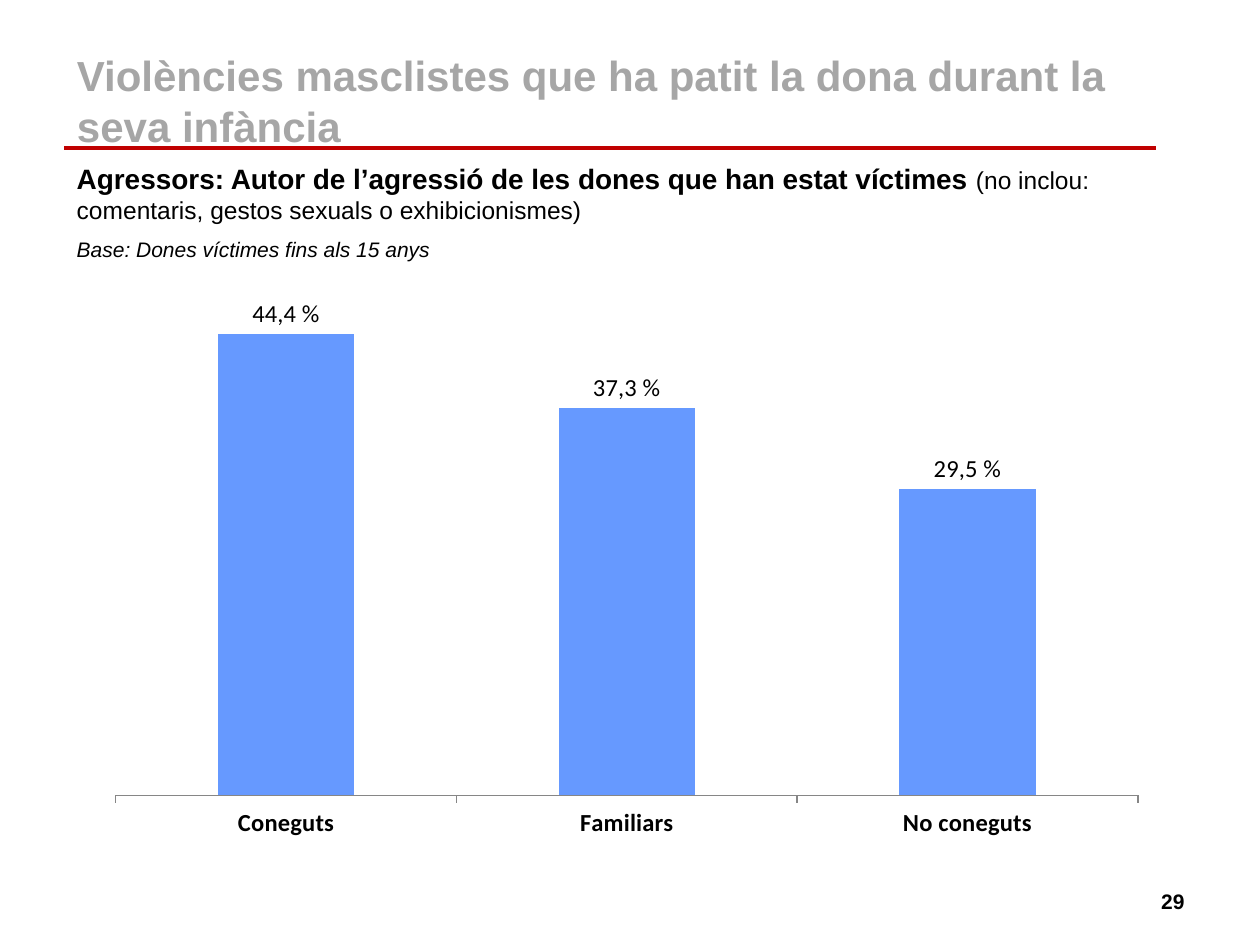
from lxml import etree
from pptx import Presentation
from pptx.chart.data import CategoryChartData
from pptx.dml.color import RGBColor
from pptx.enum.chart import XL_CHART_TYPE, XL_LABEL_POSITION, XL_TICK_MARK
from pptx.enum.shapes import MSO_CONNECTOR
from pptx.enum.text import MSO_ANCHOR, MSO_AUTO_SIZE, PP_ALIGN
from pptx.oxml.ns import qn
from pptx.util import Pt

COLUMN = XL_CHART_TYPE.COLUMN_CLUSTERED
OUTSIDE_END = XL_LABEL_POSITION.OUTSIDE_END
TICK_OUT = XL_TICK_MARK.OUTSIDE
TICK_NONE = XL_TICK_MARK.NONE
STRAIGHT = MSO_CONNECTOR.STRAIGHT
MIDDLE = MSO_ANCHOR.MIDDLE
NO_AUTOFIT = MSO_AUTO_SIZE.NONE
LEFT, RIGHT = PP_ALIGN.LEFT, PP_ALIGN.RIGHT

COLORS = {"title": "A6A6A6", "rule": "C00000", "text": "000000",
          "bar": "6699FF", "axis": "868686"}
AGGRESSORS = {"Coneguts": 44.4, "Familiars": 37.3, "No coneguts": 29.5}


def color(name):
    return RGBColor.from_string(COLORS[name])


def set_font(font, size, bold=False, italic=False, name="Arial", fill="text"):
    font.name, font.size, font.bold, font.italic = name, Pt(size), bold, italic
    font.color.rgb = color(fill)


def add_title(slide, x, y, w, h):
    """Fill the title placeholder and draw the rule beneath it."""
    sp = slide.shapes.title
    sp.left, sp.top, sp.width, sp.height = Pt(x), Pt(y), Pt(w), Pt(h)
    tf = sp.text_frame
    tf.auto_size, tf.vertical_anchor = NO_AUTOFIT, MIDDLE
    p = tf.paragraphs[0]
    p.text = "Violències masclistes que ha patit la dona durant la seva infància"
    p.alignment = LEFT
    set_font(p.font, 24, bold=True, fill="title")

    rule_y = Pt(y + h + 7.5)
    rule = slide.shapes.add_connector(STRAIGHT, Pt(x), rule_y,
                                      Pt(x + 623.8), rule_y)
    rule.line.color.rgb = color("rule")
    rule.line.width = Pt(2.25)
    etree.SubElement(rule._element.spPr, qn("a:effectLst"))


def add_text_box(slide, x, y, w, h):
    sp = slide.shapes.add_textbox(Pt(x), Pt(y), Pt(w), Pt(h))
    tf = sp.text_frame
    tf.word_wrap = True
    return tf


def add_description(slide, x, y, w, h):
    tf = add_text_box(slide, x, y, w, h)
    p = tf.paragraphs[0]
    heading, note = p.add_run(), p.add_run()
    heading.text = "Agressors: Autor de l’agressió de les dones que han estat víctimes "
    set_font(heading.font, 16, bold=True)
    note.text = "(no inclou: comentaris, gestos sexuals o exhibicionismes)"
    set_font(note.font, 14)

    p = tf.add_paragraph()
    p.text = "Base: Dones víctimes fins als 15 anys"
    p.line_spacing = 1.5
    set_font(p.font, 12, italic=True)


def add_aggressor_chart(slide, x, y, w, h):
    data = CategoryChartData(number_format="0.0")
    data.categories = list(AGGRESSORS)
    data.add_series("Series 1", list(AGGRESSORS.values()))
    chart = slide.shapes.add_chart(COLUMN, Pt(x), Pt(y), Pt(w), Pt(h), data).chart
    chart.has_legend = chart.has_title = False
    set_font(chart.font, 12, name="Calibri")

    axis = chart.category_axis
    axis.major_tick_mark, axis.minor_tick_mark = TICK_OUT, TICK_NONE
    axis.format.line.color.rgb = color("axis")
    set_font(axis.tick_labels.font, 14, bold=True, name="Calibri")

    axis = chart.value_axis
    axis.minimum_scale, axis.maximum_scale = 0, 50
    axis.has_major_gridlines = axis.visible = False

    plot = chart.plots[0]
    plot.gap_width, plot.vary_by_categories = 150, False
    series = plot.series[0]
    series.format.fill.solid()
    series.format.fill.fore_color.rgb = color("bar")

    labels = series.data_labels
    labels.show_value, labels.position = True, OUTSIDE_END
    labels.number_format, labels.number_format_is_linked = "#,##0.0", False
    set_font(labels.font, 14, bold=True, name="Calibri")
    for i, value in enumerate(AGGRESSORS.values()):
        label = series.points[i].data_label
        r = label.text_frame.paragraphs[0].add_run()
        r.text = f"{value:.1f} %".replace(".", ",")
        set_font(r.font, 14, name="Calibri")
        label.position = OUTSIDE_END


def add_page_number(slide, x, y, w, h):
    tf = add_text_box(slide, x, y, w, h)
    tf.vertical_anchor = MIDDLE
    p = tf.paragraphs[0]
    p.text = "29"
    p.alignment = RIGHT
    set_font(p.font, 12, bold=True)


def main():
    prs = Presentation()
    prs.slide_width, prs.slide_height = Pt(720), Pt(540)
    title_only = prs.slide_layouts[5]
    slide = prs.slides.add_slide(title_only)
    add_title(slide, 36.8, 37.4, 657.4, 39.6)
    add_description(slide, 36.8, 88.6, 612, 62.6)
    add_aggressor_chart(slide, 54, 151, 608.4, 334.6)
    add_page_number(slide, 516.2, 500.4, 167.8, 28.8)
    prs.save("out.pptx")


if __name__ == "__main__":
    main()
